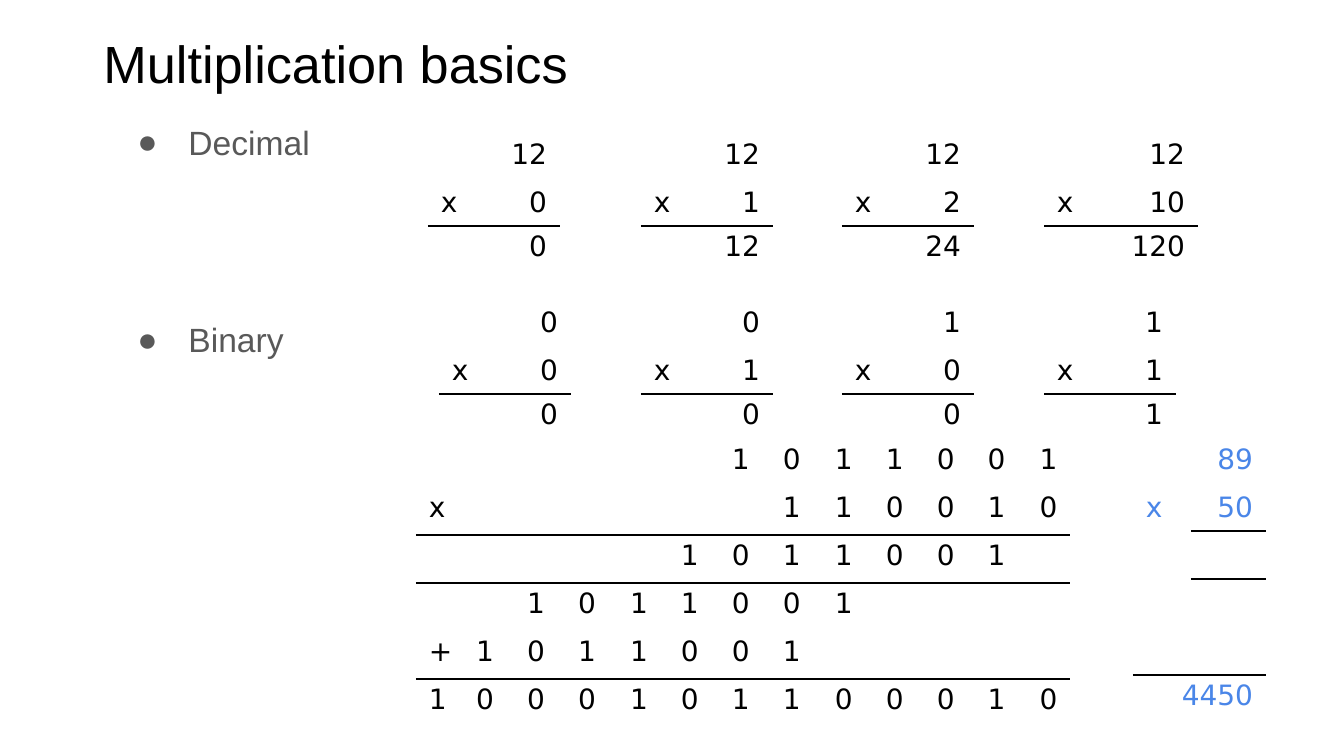
from lxml import etree
from pptx import Presentation
from pptx.dml.color import RGBColor
from pptx.enum.text import MSO_ANCHOR, MSO_AUTO_SIZE, PP_ALIGN
from pptx.oxml import parse_xml
from pptx.oxml.ns import nsdecls, qn
from pptx.util import Pt

LEFT, RIGHT = PP_ALIGN.LEFT, PP_ALIGN.RIGHT
TOP, BOTTOM = MSO_ANCHOR.TOP, MSO_ANCHOR.BOTTOM
NO_AUTOFIT = MSO_AUTO_SIZE.NONE
BLACK = RGBColor(0x00, 0x00, 0x00)
GRAY = RGBColor(0x59, 0x59, 0x59)
BLUE = RGBColor(0x4A, 0x86, 0xE8)
PX = 6804  # EMU in one px, 134.4 px to the inch
NO_GRID_STYLE = "{2D5ABB26-0587-4C30-8999-92F81FD0307C}"


def write(paragraph, text, font="Arial", size=18, color=BLACK, align=LEFT):
    paragraph.alignment = align
    run = paragraph.add_run()
    run.text = text
    run.font.name = font
    run.font.size = Pt(size)
    run.font.color.rgb = color


def add_sum(left, top, widths, heights, rows, rules, color=BLACK):
    """Lay out a sum as a table; rules are (row above, first column, points)."""
    frame = slide.shapes.add_table(len(rows), len(widths), left * PX, top * PX,
                                   sum(widths) * PX, sum(heights) * PX)
    table = frame.table
    table.first_row = table.horz_banding = False
    table._tbl.tblPr.find(qn("a:tableStyleId")).text = NO_GRID_STYLE
    for column, width in zip(table.columns, widths):
        column.width = width * PX
    for row, height in zip(table.rows, heights):
        row.height = height * PX

    for row, first_column, points in rules:
        for column in range(first_column, len(widths)):
            for tag, edge_row in (("lnB", row), ("lnT", row + 1)):
                properties = table.cell(edge_row, column)._tc.get_or_add_tcPr()
                line = etree.SubElement(properties, qn(f"a:{tag}"), w=str(Pt(points)))
                fill = etree.SubElement(line, qn("a:solidFill"))
                etree.SubElement(fill, qn("a:srgbClr"), val=str(BLACK))

    for row, texts in enumerate(rows):
        for column, text in enumerate(texts):
            cell = table.cell(row, column)
            cell.fill.background()
            cell.margin_left = cell.margin_right = 13 * PX
            cell.margin_top = cell.margin_bottom = 5 * PX if text else 0
            if text:
                align = LEFT if column == 0 and len(text) == 1 else RIGHT
                write(cell.text_frame.paragraphs[0], text, font="DejaVu Sans",
                      size=15, color=color, align=align)
    return table


presentation = Presentation()
presentation.slide_width = 1344 * PX
presentation.slide_height = 756 * PX
slide = presentation.slides.add_slide(presentation.slide_layouts[1])

# Title and list
title, body = slide.placeholders
for shape, box, anchor in ((title, (90, 26, 1210, 75), BOTTOM),
                           (body, (124, 109, 1142, 588), TOP)):
    shape.left, shape.top, shape.width, shape.height = (length * PX for length in box)
    shape.text_frame.auto_size = NO_AUTOFIT
    shape.text_frame.vertical_anchor = anchor
write(title.text_frame.paragraphs[0], "Multiplication basics", size=28)

topics = (body.text_frame.paragraphs[0], "Decimal", 0), (body.text_frame.add_paragraph(), "Binary", 81)
for paragraph, topic, space_before in topics:
    properties = paragraph._p.get_or_add_pPr()
    properties.set("marL", str(51 * PX))
    properties.set("indent", str(-51 * PX))
    for bullet in (f'<a:buClr {nsdecls("a")}><a:srgbClr val="{GRAY}"/></a:buClr>',
                   f'<a:buFont {nsdecls("a")} typeface="Arial"/>',
                   f'<a:buChar {nsdecls("a")} char="●"/>'):
        properties.append(parse_xml(bullet))
    paragraph.line_spacing = 1.15
    paragraph.space_before = Pt(space_before)
    write(paragraph, topic, color=GRAY)

# Small sums: left, top, column widths, factors and product
small_sums = [
    (428, 134, (55, 77), "12", "0", "0"),
    (641, 134, (55, 77), "12", "1", "12"),
    (842, 134, (55, 77), "12", "2", "24"),
    (1044, 134, (47, 107), "12", "10", "120"),
    (439, 302, (57, 75), "0", "0", "0"),
    (641, 302, (57, 75), "0", "1", "0"),
    (842, 302, (57, 75), "1", "0", "0"),
    (1044, 302, (57, 75), "1", "1", "1"),
]
for left, top, widths, first, second, product in small_sums:
    add_sum(left, top, widths, (48, 44, 48),
            [("", first), ("x", second), ("", product)], [(1, 0, 1)])

# Long binary multiplication, a dot for each empty place
long_rows = [
    "......1011001",
    "x......110010",
    ".....1011001.",
    "..1011001....",
    "+1011001.....",
    "1000101100010",
]
add_sum(416, 439, [40] + [51, 51, 51, 52] * 3, [48] * 6,
        [[mark.strip(".") for mark in row] for row in long_rows],
        [(1, 0, 1), (4, 0, 1)])

# The same multiplication in decimal
check = add_sum(1133, 439, (58, 75), (48, 44, 48, 48, 48, 44),
                [("", "89"), ("x", "50"), ("", ""), ("", ""), ("", ""), ("4450", "")],
                [(1, 1, 1.5), (4, 0, 1)], color=BLUE)
check.cell(5, 0).merge(check.cell(5, 1))

presentation.save("out.pptx")
